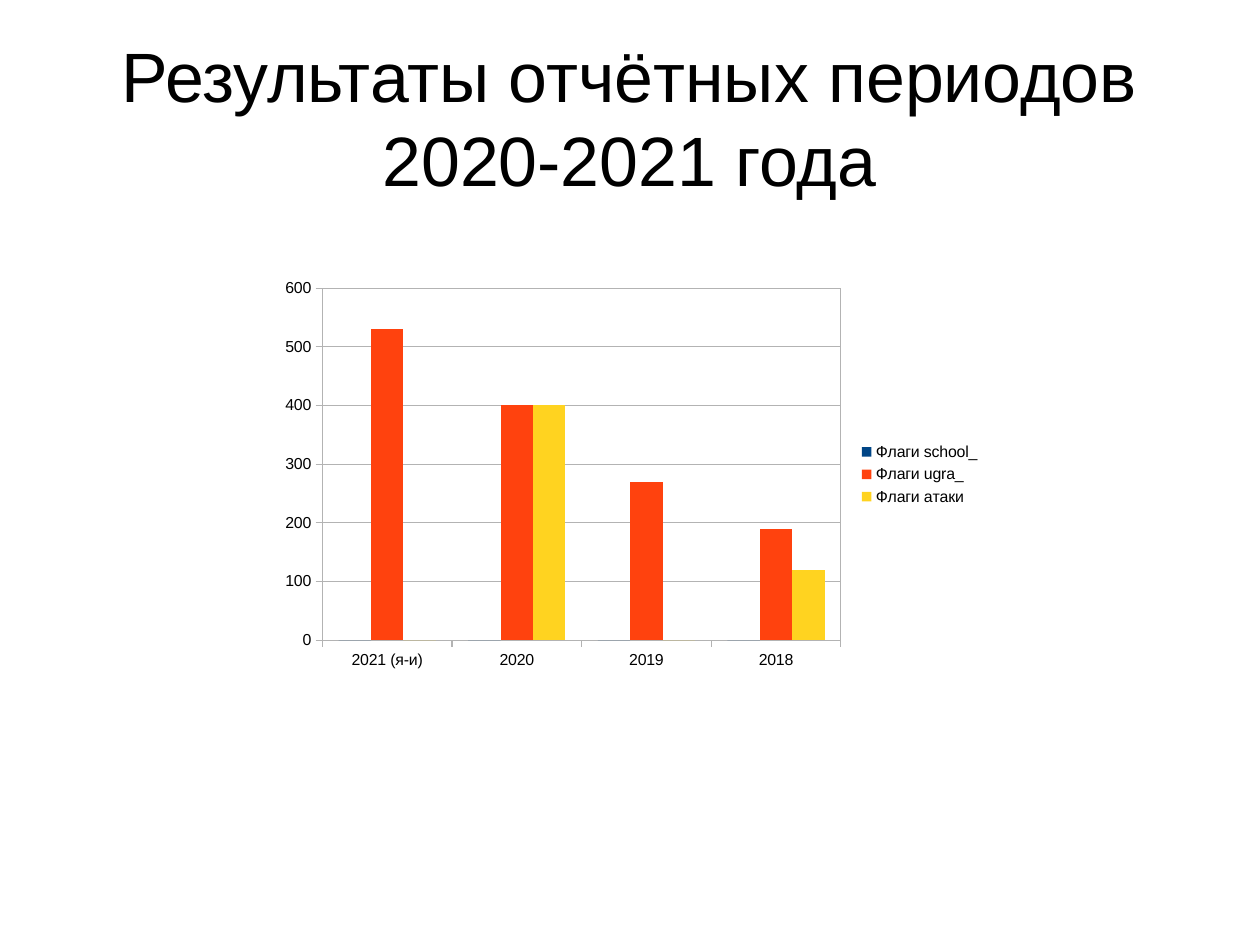
"""Build the slide with yearly flag results as a clustered column chart."""
import dataclasses
import typing

import pptx
import pptx.chart.data
import pptx.dml.color
import pptx.enum.chart
import pptx.enum.text
import pptx.oxml
import pptx.oxml.ns
import pptx.util

Inches = pptx.util.Inches
Pt = pptx.util.Pt
RGBColor = pptx.dml.color.RGBColor

BLACK = RGBColor(0x00, 0x00, 0x00)
GRAY = RGBColor(0xB3, 0xB3, 0xB3)
BLUE = RGBColor(0x00, 0x45, 0x86)
ORANGE = RGBColor(0xFF, 0x42, 0x0E)
YELLOW = RGBColor(0xFF, 0xD3, 0x20)

CM_PER_INCH = 2.54
TITLE = "Результаты отчётных периодов 2020-2021 года"
YEARS = ("2021 (я-и)", "2020", "2019", "2018")
PLOT_LAYOUT = {"x": 0.07, "y": 0.04, "w": 0.72, "h": 0.87}


@dataclasses.dataclass(frozen=True)
class FlagSeries:
    name: str
    values: tuple[int, ...]
    color: RGBColor


FLAGS = (
    FlagSeries("Флаги school_", (0, 0, 0, 0), BLUE),
    FlagSeries("Флаги ugra_", (530, 400, 270, 190), ORANGE),
    FlagSeries("Флаги атаки", (0, 400, 0, 120), YELLOW),
)


def apply(obj: typing.Any, formats: dict[str, typing.Any]) -> None:
    for name, value in formats.items():
        setattr(obj, name, value)


def format_font(font: typing.Any, size: int) -> None:
    apply(font, {"name": "Arial", "size": Pt(size), "bold": False})
    font.color.rgb = BLACK


def format_line(line: typing.Any) -> None:
    line.color.rgb = GRAY
    line.width = Pt(0)


def add_title(slide: typing.Any) -> None:
    sp = slide.shapes.title
    apply(sp, {"left": Inches(0.55), "top": Inches(0.33),
               "width": Inches(9.92), "height": Inches(1.38)})
    tf = sp.text_frame
    apply(tf, {"margin_left": 0, "margin_right": 0, "margin_top": 0, "margin_bottom": 0,
               "word_wrap": True, "vertical_anchor": pptx.enum.text.MSO_ANCHOR.MIDDLE})
    p = tf.paragraphs[0]
    p.alignment = pptx.enum.text.PP_ALIGN.CENTER
    r = p.add_run()
    r.text = TITLE
    format_font(r.font, 44)


def format_plot_area(chart: typing.Any) -> None:
    ns = pptx.oxml.ns.nsdecls("c", "a")
    area = chart.plots[0]._element.getparent()
    for layout in area.findall(pptx.oxml.ns.qn("c:layout")):
        area.remove(layout)
    modes = "".join(f'<c:{k}Mode val="edge"/>' for k in "xy")
    sizes = "".join(f'<c:{k} val="{v}"/>' for k, v in PLOT_LAYOUT.items())
    area.insert(0, pptx.oxml.parse_xml(
        f'<c:layout {ns}><c:manualLayout><c:layoutTarget val="inner"/>'
        f"{modes}{sizes}</c:manualLayout></c:layout>"))
    area.append(pptx.oxml.parse_xml(
        f'<c:spPr {ns}><a:noFill/><a:ln w="0"><a:solidFill>'
        f'<a:srgbClr val="{GRAY}"/></a:solidFill></a:ln></c:spPr>'))


def add_flag_chart(slide: typing.Any) -> None:
    data = pptx.chart.data.CategoryChartData()
    data.categories = YEARS
    for flag in FLAGS:
        data.add_series(flag.name, flag.values)
    chart = slide.shapes.add_chart(
        pptx.enum.chart.XL_CHART_TYPE.COLUMN_CLUSTERED,
        Inches(2.38), Inches(2.38), Inches(6.3), Inches(3.54), data).chart
    apply(chart, {"has_title": False, "has_legend": True})
    format_font(chart.font, 10)
    apply(chart.legend, {"position": pptx.enum.chart.XL_LEGEND_POSITION.RIGHT,
                         "include_in_layout": False})
    format_font(chart.legend.font, 10)
    plot = chart.plots[0]
    apply(plot, {"gap_width": 100, "overlap": 0, "vary_by_categories": False})
    for series, flag in zip(plot.series, FLAGS):
        series.format.fill.solid()
        series.format.fill.fore_color.rgb = flag.color
    for axis in (chart.category_axis, chart.value_axis):
        axis.major_tick_mark = pptx.enum.chart.XL_TICK_MARK.OUTSIDE
        axis.minor_tick_mark = pptx.enum.chart.XL_TICK_MARK.NONE
        format_font(axis.tick_labels.font, 10)
        format_line(axis.format.line)
    apply(chart.value_axis, {"minimum_scale": 0, "maximum_scale": 600, "major_unit": 100})
    format_line(chart.value_axis.major_gridlines.format.line)
    format_plot_area(chart)


def main() -> None:
    prs = pptx.Presentation()
    prs.slide_width = Inches(28 / CM_PER_INCH)
    prs.slide_height = Inches(21 / CM_PER_INCH)
    slide = prs.slides.add_slide(prs.slide_layouts[5])
    add_title(slide)
    add_flag_chart(slide)
    prs.save("out.pptx")


if __name__ == "__main__":
    main()
